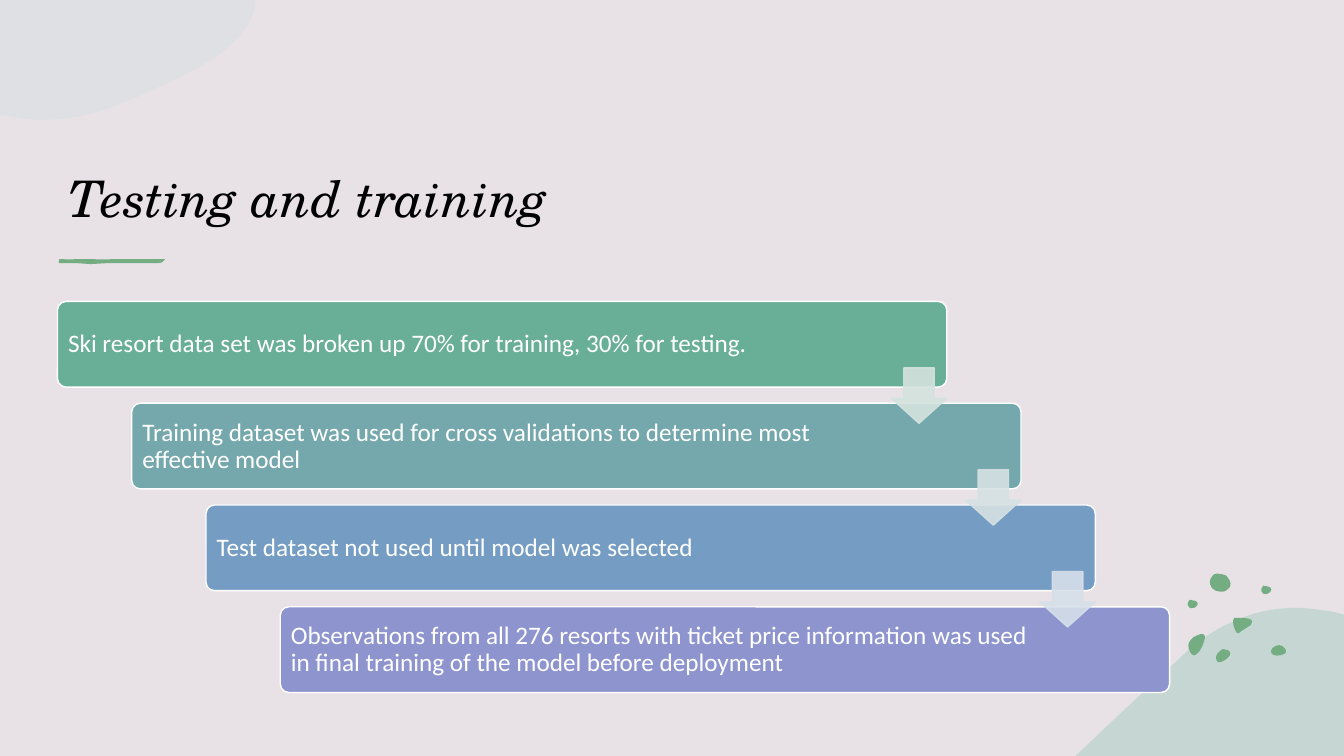
from lxml import etree
from pptx import Presentation
from pptx import util as u
from pptx.dml.color import RGBColor
from pptx.enum import shapes, text
from pptx.oxml.ns import qn

WIDTH, HEIGHT = 13.33, 7.5
TITLE = "Testing and training"
BACKGROUND, WHITE, BLACK, GREEN = "E8E2E7", "FFFFFF", "000000", "74AD82"

# Step text, box colour, colour of the arrow to the next step
STEPS = [
    ("Ski resort data set was broken up 70% for training, 30% for testing.", "69AE96", "D4E3DD"),
    ("Training dataset was used for cross validations to determine most effective model", "75A8AC", "D6E1E3"),
    ("Test dataset not used until model was selected", "759DC3", "D6DFE9"),
    ("Observations from all 276 resorts with ticket price information was used "
     "in final training of the model before deployment", "8E94CE", None),
]

# Outlines in inches: a start point, then lines (x, y) or
# curves (two control points and an end point)
TOP_BLOB = [  # upright; turned by 90 degrees when drawn
    (0.67, 1.86), (0.67, -0.67), (0.73, -0.67), (1.11, -0.59, 1.34, -0.14, 1.53, 0.28),
    (1.7, 0.63, 1.86, 1, 1.86, 1.45), (1.86, 1.55, 1.85, 1.64, 1.83, 1.73), (1.81, 1.86),
]
CORNER_HILL = [
    (12.88, 6.03), (13.01, 6.04, 13.14, 6.05, 13.27, 6.08), (13.33, 6.1), (13.33, 7.5),
    (10.67, 7.5), (10.68, 7.49), (11.02, 7.16, 11.37, 6.84, 11.69, 6.54),
    (11.91, 6.32, 12.14, 6.19, 12.37, 6.11), (12.54, 6.05, 12.71, 6.03, 12.88, 6.03),
]
UNDERLINE = [
    (0.59, 2.57), (0.64, 2.57, 0.7, 2.58, 0.75, 2.57), (0.88, 2.57),
    (0.94, 2.57, 1.06, 2.58, 1.11, 2.57), (1.64, 2.57), (1.61, 2.58, 1.63, 2.61, 1.57, 2.61),
    (1.33, 2.61), (1.07, 2.61), (0.9, 2.62), (0.75, 2.61), (0.61, 2.61),
    (0.57, 2.62, 0.58, 2.58, 0.59, 2.57),
]
PEBBLES = [
    [(12.13, 6.44), (12.15, 6.44, 12.16, 6.44, 12.18, 6.45), (12.2, 6.46, 12.21, 6.48, 12.2, 6.5),
     (12.18, 6.53, 12.12, 6.58, 12.08, 6.57), (12.07, 6.56, 12.06, 6.54, 12.06, 6.52),
     (12.06, 6.5, 12.08, 6.47, 12.1, 6.46), (12.11, 6.45, 12.12, 6.44, 12.13, 6.44)],
    [(11.91, 6.29), (11.93, 6.29, 11.95, 6.29, 11.95, 6.31), (11.95, 6.33),
     (11.94, 6.38, 11.92, 6.43, 11.89, 6.47), (11.87, 6.49, 11.84, 6.52, 11.82, 6.49),
     (11.79, 6.46, 11.78, 6.41, 11.79, 6.38), (11.8, 6.35, 11.82, 6.34, 11.84, 6.32),
     (11.85, 6.32, 11.88, 6.29, 11.91, 6.29)],
    [(12.69, 6.4), (12.71, 6.4, 12.74, 6.42, 12.75, 6.44), (12.76, 6.46, 12.76, 6.48, 12.73, 6.49),
     (12.7, 6.51, 12.62, 6.51, 12.61, 6.48), (12.6, 6.46, 12.61, 6.44, 12.62, 6.43),
     (12.64, 6.41, 12.66, 6.4, 12.69, 6.4)],
    [(12.01, 5.81), (12, 5.81, 11.99, 5.75, 12.02, 5.72), (12.04, 5.7, 12.04, 5.69, 12.07, 5.69),
     (12.1, 5.69, 12.14, 5.7, 12.16, 5.71), (12.18, 5.73, 12.22, 5.78, 12.2, 5.82),
     (12.17, 5.85, 12.16, 5.87, 12.12, 5.87), (12.09, 5.87, 12.04, 5.86, 12.03, 5.84),
     (12.01, 5.83, 12.01, 5.82, 12.01, 5.81)],
    [(12.28, 6.13), (12.34, 6.13, 12.45, 6.13, 12.41, 6.19), (12.41, 6.2, 12.4, 6.21, 12.39, 6.21),
     (12.36, 6.23, 12.33, 6.25, 12.3, 6.27), (12.29, 6.28, 12.28, 6.29, 12.27, 6.28),
     (12.27, 6.28, 12.26, 6.27, 12.26, 6.27), (12.24, 6.23, 12.23, 6.2, 12.23, 6.16),
     (12.23, 6.15, 12.23, 6.14, 12.24, 6.13)],
]
# The two smallest pebbles share one outline
SMALL_PEBBLE = [
    (0, 0.05), (0, 0.05, 0, 0.01, 0.02, 0), (0.04, 0, 0.05, 0, 0.07, 0.01),
    (0.08, 0.01, 0.1, 0.02, 0.1, 0.04), (0.1, 0.05, 0.09, 0.06, 0.08, 0.07),
    (0.08, 0.07, 0.08, 0.08, 0.06, 0.08), (0.05, 0.08, 0.03, 0.09, 0.02, 0.08),
    (0.01, 0.06, 0, 0.06, 0, 0.05),
]
SMALL_PEBBLE_CORNERS = [(12.51, 5.81), (11.78, 5.95)]

# Staircase grid
LEFT, TOP = 0.57, 2.99
STEP_X, STEP_Y = 2.21 / 3, 1.01
BOX_WIDTH, BOX_HEIGHT = 8.82, 0.85
ARROW, ARROW_DROP = 0.55, 0.66


def paint(fill, colour, opacity=100):
    fill.solid()
    fill.fore_color.rgb = RGBColor.from_string(colour)
    if opacity < 100:
        for tint in fill._xPr.iter(qn("a:srgbClr")):
            etree.SubElement(tint, qn("a:alpha")).set("val", str(opacity * 1000))


def write(frame, words, size, font, colour, margins, italic=False):
    (frame.margin_left, frame.margin_top,
     frame.margin_right, frame.margin_bottom) = map(u.Inches, margins)
    para = frame.paragraphs[0]
    para.alignment = text.PP_ALIGN.LEFT
    para.line_spacing = 0.9
    span = para.add_run()
    span.text = words
    span.font.size, span.font.name, span.font.italic = u.Pt(size), font, italic
    paint(span.font.fill, colour)


def draw_outline(page, outline, colour, opacity=100, corner=(0, 0)):
    parts = [[(u.Inches(x + corner[0]), u.Inches(y + corner[1]))
              for x, y in zip(part[::2], part[1::2])] for part in outline]
    builder = page.shapes.build_freeform(*parts[0][0])
    builder.add_line_segments([part[-1] for part in parts[1:]], close=True)
    shape = builder.convert_to_shape()
    # Bend the segments that have control points
    segments = list(shape._element.iter(qn("a:lnTo")))
    for segment, part in zip(segments, parts[1:]):
        if len(part) == 3:
            segment.tag = qn("a:cubicBezTo")
            for i, (x, y) in enumerate(part[:2]):
                control = etree.Element(qn("a:pt"), x=str(x - shape.left), y=str(y - shape.top))
                segment.insert(i, control)
    shape.shadow.inherit = False
    paint(shape.fill, colour, opacity)
    shape.line.fill.background()
    return shape


def draw_preset(page, kind, place, fill, line=None, adjustments=(), opacity=100):
    shape = page.shapes.add_shape(kind, *map(u.Inches, place))
    shape.shadow.inherit = False
    for i, value in enumerate(adjustments):
        shape.adjustments[i] = value
    paint(shape.fill, fill, opacity)
    if line:
        shape.line.width = u.Pt(1)
        paint(shape.line.fill, line, opacity)
    else:
        shape.line.fill.background()
    return shape


def main():
    deck = Presentation()
    deck.slide_width, deck.slide_height = u.Inches(WIDTH), u.Inches(HEIGHT)
    page = deck.slides.add_slide(deck.slide_layouts[5])
    paint(page.background.fill, BACKGROUND)

    # Backdrop, moved behind the title
    backdrop = draw_preset(page, shapes.MSO_SHAPE.RECTANGLE, (0, 0, WIDTH, HEIGHT), BACKGROUND)
    blob = draw_outline(page, TOP_BLOB, "C8DCDE", 25)
    blob.rotation = 90
    title = page.shapes.title
    for shape in (backdrop, blob):
        title._element.addprevious(shape._element)

    # Title
    title.left, title.top, title.width, title.height = map(u.Inches, (LEFT, 0.86, 11.02, 1.45))
    frame = title.text_frame
    frame.auto_size = text.MSO_AUTO_SIZE.NONE
    frame.vertical_anchor = text.MSO_ANCHOR.BOTTOM
    write(frame, TITLE, 36, "TeX Gyre Schola", BLACK, (0.11, 0.05, 0.1, 0.04), italic=True)

    # Underline, hill and pebbles
    draw_outline(page, UNDERLINE, GREEN)
    draw_outline(page, CORNER_HILL, "A5CEC0", 50)
    for pebble in PEBBLES:
        draw_outline(page, pebble, GREEN)
    for corner in SMALL_PEBBLE_CORNERS:
        draw_outline(page, SMALL_PEBBLE, GREEN, corner=corner)

    # Step boxes
    corners = [(LEFT + i * STEP_X, TOP + i * STEP_Y) for i in range(len(STEPS))]
    for (words, colour, _), (left, top) in zip(STEPS, corners):
        box = draw_preset(page, shapes.MSO_SHAPE.ROUNDED_RECTANGLE,
                          (left, top, BOX_WIDTH, BOX_HEIGHT), colour, WHITE, [0.1])
        frame = box.text_frame
        frame.word_wrap = True
        frame.vertical_anchor = text.MSO_ANCHOR.MIDDLE
        write(frame, words, 18, "Calibri", WHITE, (0.08, 0.08, 1.37, 0.07))

    # Arrows at the right end of each box but the last
    for (_, _, colour), (left, top) in zip(STEPS[:-1], corners):
        draw_preset(page, shapes.MSO_SHAPE.DOWN_ARROW,
                    (left + BOX_WIDTH - ARROW, top + ARROW_DROP, ARROW, ARROW),
                    colour, colour, [0.55, 0.45], 90)

    deck.save("out.pptx")


if __name__ == "__main__":
    main()
